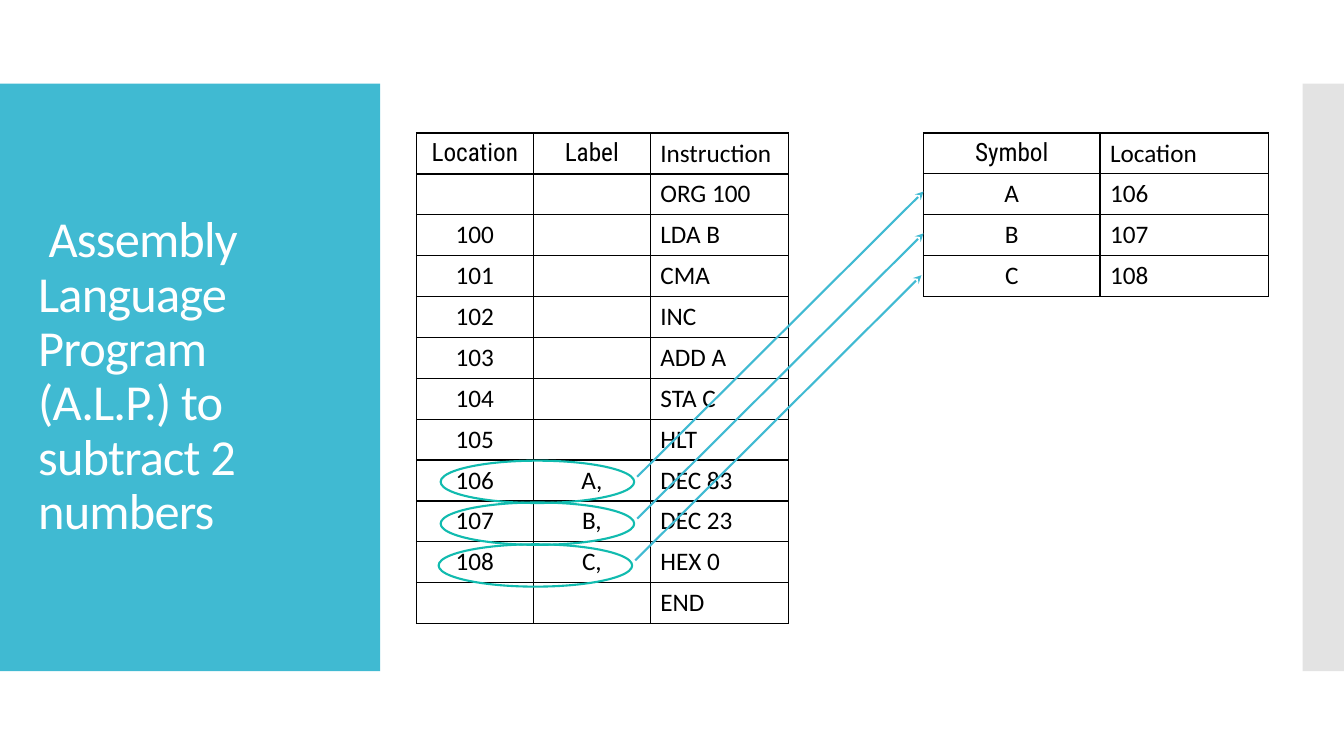
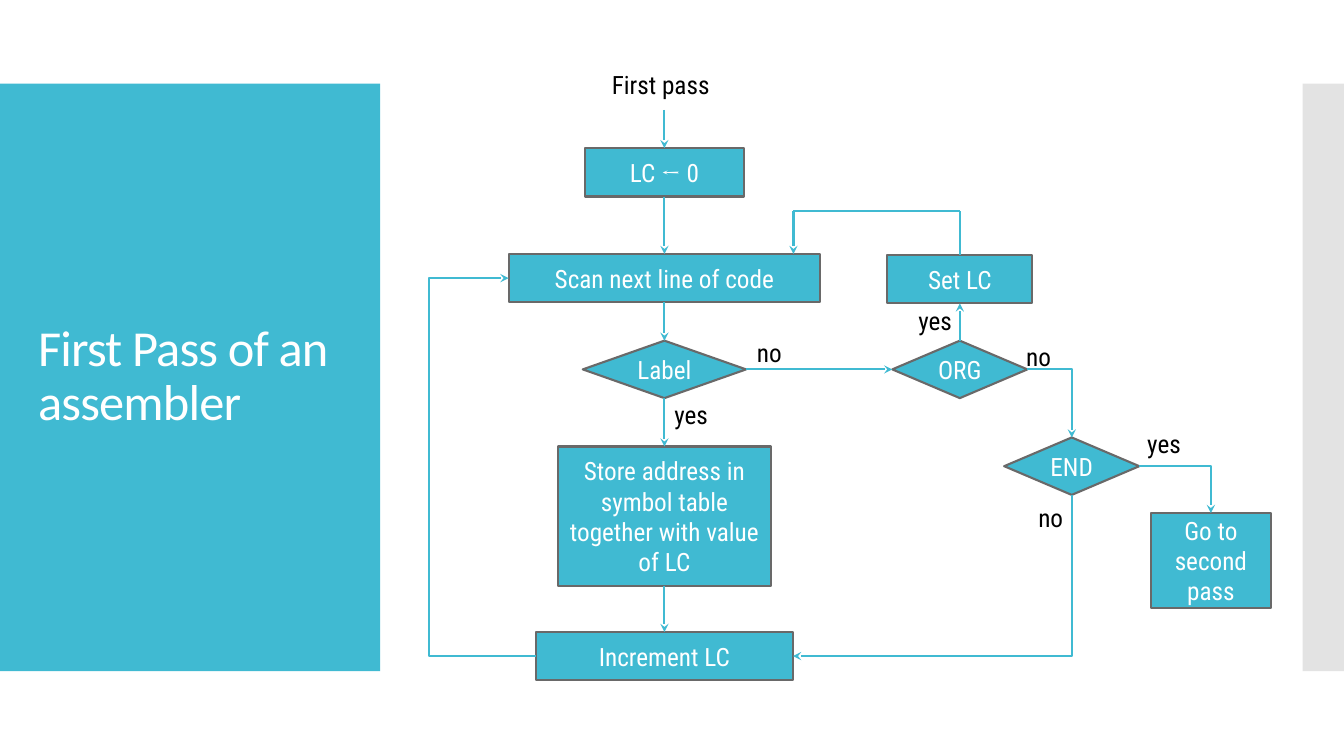
"""Builds two slides on a two-pass assembler: a sample program and the first-pass flowchart."""
from dataclasses import dataclass
from lxml.etree import SubElement
from pptx import Presentation
from pptx.dml.color import RGBColor
from pptx.enum.shapes import MSO_CONNECTOR, MSO_SHAPE
from pptx.enum.text import MSO_ANCHOR, PP_ALIGN
from pptx.oxml.ns import qn
from pptx.util import Inches, Pt


@dataclass(frozen=True)
class Theme:
    teal: RGBColor = RGBColor(0x40, 0xBA, 0xD2)
    green: RGBColor = RGBColor(0x11, 0xBB, 0xAF)
    silver: RGBColor = RGBColor(0xC8, 0xC8, 0xC8)
    gray: RGBColor = RGBColor(0x69, 0x69, 0x69)
    black: RGBColor = RGBColor(0, 0, 0)
    white: RGBColor = RGBColor(255, 255, 255)
    sans: str = "Calibri"
    slim: str = "Roboto Condensed"
    serif: str = "Cambria"
    head: Pt = Pt(36)
    body: Pt = Pt(18)
    rule: Pt = Pt(1.5)


theme = Theme()


def write(para, text, face, color, size=theme.body):
    run = para.add_run()
    run.text = text
    run.font.name = face
    run.font.size = size
    run.font.color.rgb = color
    return run


def link(slide, start, stop, kind=MSO_CONNECTOR.STRAIGHT, tip="tailEnd"):
    spots = [(0, 0) if hasattr(end[0], "shape_id") else end for end in (start, stop)]
    wire = slide.shapes.add_connector(kind, *[Inches(n) for spot in spots for n in spot])
    for end, join in ((start, wire.begin_connect), (stop, wire.end_connect)):
        if hasattr(end[0], "shape_id"):
            join(*end)
    wire.line.color.rgb = theme.teal
    wire.line.width = theme.rule
    props = wire._element.spPr
    if tip:
        SubElement(props.find(qn("a:ln")), qn("a:" + tip), type="stealth")
    SubElement(props, qn("a:effectLst"))
    return wire


deck = Presentation()
deck.slide_width, deck.slide_height = Inches(13.33), Inches(7.5)

slides = []
for title in (" Assembly Language Program (A.L.P.) to subtract 2 numbers", "First Pass of an assembler"):
    slide = deck.slides.add_slide(deck.slide_layouts[6])
    slides.append(slide)
    for left, width, color in ((0, 3.77, theme.teal), (12.92, 0.41, theme.silver)):
        band = slide.shapes.add_shape(MSO_SHAPE.RECTANGLE, Inches(left), Inches(0.83), Inches(width), Inches(5.83))
        band.shadow.inherit = False
        band.fill.solid()
        band.fill.fore_color.rgb = color
        band.line.fill.background()
    SubElement(band._element.spPr.find(".//" + qn("a:srgbClr")), qn("a:alpha"), val="50000")
    frame = slide.shapes.add_textbox(Inches(0.28), Inches(1.23), Inches(3.22), Inches(5.03)).text_frame
    frame.word_wrap = True
    frame.vertical_anchor = MSO_ANCHOR.MIDDLE
    para = frame.paragraphs[0]
    para.line_spacing = 0.9
    run = write(para, title, theme.sans, theme.white, theme.head)
    run.font._element.set("spc", "-60")

code, flow = slides

program = [
    ("Location", "Label", "Instruction"),
    ("", "", "ORG 100"),
    ("100", "", "LDA B"),
    ("101", "", "CMA"),
    ("102", "", "INC"),
    ("103", "", "ADD A"),
    ("104", "", "STA C"),
    ("105", "", "HLT"),
    ("106", "A,", "DEC 83"),
    ("107", "B,", "DEC 23"),
    ("108", "C,", "HEX 0"),
    ("", "", "END"),
]
symbols = [("Symbol", "Location"), ("A", "106"), ("B", "107"), ("C", "108")]

for rows, left, height, widths in (
    (program, 4.13, 4.87, (1.16, 1.16, 1.37)),
    (symbols, 9.16, 1.62, (1.75, 1.67)),
):
    grid = code.shapes.add_table(
        len(rows), len(widths), Inches(left), Inches(1.32), Inches(sum(widths)), Inches(height)
    ).table
    grid.first_row = grid.horz_banding = False
    for col, width in zip(grid.columns, widths):
        col.width = Inches(width)
    last = len(widths) - 1
    for r, row in enumerate(rows):
        for c, text in enumerate(row):
            cell = grid.cell(r, c)
            props = cell._tc.get_or_add_tcPr()
            for side in ("lnL", "lnR", "lnT", "lnB"):
                edge = SubElement(props, qn("a:" + side), w=str(Pt(1)))
                SubElement(SubElement(edge, qn("a:solidFill")), qn("a:srgbClr"), val=str(theme.black))
            cell.fill.background()
            para = cell.text_frame.paragraphs[0]
            para.font.size = theme.body
            if c < last:
                para.alignment = PP_ALIGN.CENTER
            if text:
                face = theme.slim if r == 0 and c < last else theme.sans
                write(para, text, face, theme.black)

for i, shift in enumerate((0, 0, -0.02)):
    drop = 0.415 * i
    ring = code.shapes.add_shape(
        MSO_SHAPE.OVAL, Inches(4.37 + shift), Inches(4.57 + drop), Inches(1.92), Inches(0.42)
    )
    ring.shadow.inherit = False
    ring.fill.background()
    ring.line.color.rgb = theme.green
    ring.line.width = theme.rule
    link(code, (6.32 + shift, 4.73 + drop), (9.16 + shift, 1.9 + drop))

rect, fork = MSO_SHAPE.RECTANGLE, MSO_SHAPE.FLOWCHART_DECISION
nodes = {}
for key, kind, mid, top, width, height, text in (
    ("init", rect, 6.59, 1.47, 1.58, 0.48, "LC ← 0"),
    ("scan", rect, 6.59, 2.52, 3.09, 0.48, "Scan next line of code"),
    ("label", fork, 6.59, 3.38, 1.62, 0.57, "Label"),
    ("store", rect, 6.59, 4.43, 2.11, 1.38, "Store address in symbol table together with value of LC"),
    ("step", rect, 6.59, 6.27, 2.55, 0.48, "Increment LC"),
    ("set", rect, 9.52, 2.53, 1.44, 0.48, "Set LC"),
    ("org", fork, 9.52, 3.38, 1.34, 0.57, "ORG"),
    ("end", fork, 10.63, 4.34, 1.34, 0.57, "END"),
    ("next", rect, 12.01, 5.09, 1.19, 0.94, "Go to second pass"),
):
    node = flow.shapes.add_shape(kind, Inches(mid - width / 2), Inches(top), Inches(width), Inches(height))
    node.shadow.inherit = False
    node.fill.solid()
    node.fill.fore_color.rgb = theme.teal
    node.line.color.rgb = theme.gray
    node.line.width = theme.rule
    frame = node.text_frame
    frame.word_wrap = True
    frame.vertical_anchor = MSO_ANCHOR.MIDDLE
    para = frame.paragraphs[0]
    para.alignment = PP_ALIGN.CENTER
    before, arrow, after = text.partition("←")
    for part, face in ((before, theme.slim), (arrow, theme.serif), (after, theme.slim)):
        if part:
            write(para, part, face, theme.white)
    nodes[key] = node

link(flow, (6.59, 1.09), (nodes["init"], 0))
for start, out, stop, into in (
    ("init", 2, "scan", 0),
    ("scan", 2, "label", 0),
    ("label", 3, "org", 1),
    ("label", 2, "store", 0),
    ("store", 2, "step", 0),
    ("org", 0, "set", 2),
):
    link(flow, (nodes[start], out), (nodes[stop], into))

for start, stop, into, tip in (
    ("org", "end", 0, "tailEnd"),
    ("end", "next", 0, "tailEnd"),
    ("step", "end", 2, "headEnd"),
):
    wire = link(flow, (nodes[start], 3), (nodes[stop], into), MSO_CONNECTOR.ELBOW, tip)
    wire._element.spPr.find(qn("a:prstGeom")).set("prst", "bentConnector2")

loop = link(flow, (nodes["step"], 1), (nodes["scan"], 1), MSO_CONNECTOR.ELBOW)
geom = loop._element.spPr.find(qn("a:prstGeom"))
SubElement(geom.get_or_add_avLst(), qn("a:gd"), name="adj1", fmla="val 391900")

link(flow, (nodes["set"], 0), (9.52, 2.09), tip=None)
link(flow, (9.52, 2.09), (7.87, 2.09), tip=None)
link(flow, (7.87, 2.09), (7.87, 2.52))

for text, left, top, width in (
    ("First pass", 5.97, 0.64, 2.07),
    ("no", 7.41, 3.3, 0.47),
    ("no", 10.08, 3.34, 0.47),
    ("no", 10.2, 4.93, 0.47),
    ("yes", 6.59, 3.91, 0.54),
    ("yes", 9.01, 2.98, 0.54),
    ("yes", 11.28, 4.2, 0.54),
):
    frame = flow.shapes.add_textbox(Inches(left), Inches(top), Inches(width), Inches(0.4)).text_frame
    frame.word_wrap = width > 1
    write(frame.paragraphs[0], text, theme.slim, theme.black)

deck.save("out.pptx")
